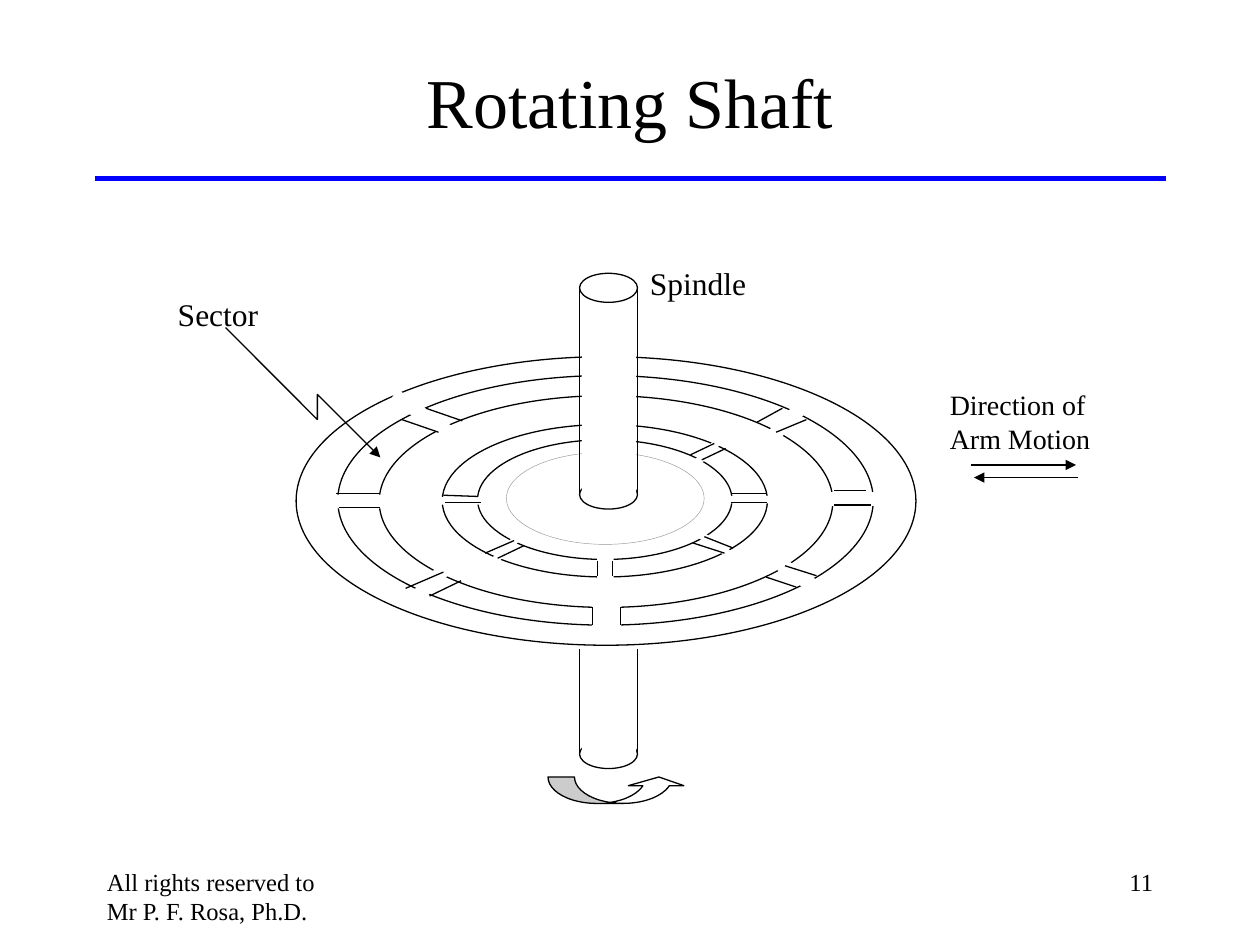
import pptx
import pptx.util
import pptx.dml.color
import pptx.enum.shapes
import pptx.enum.text
import pptx.oxml.ns

Pt = pptx.util.Pt
MSO = pptx.enum.shapes.MSO_SHAPE
ALIGN = pptx.enum.text.PP_ALIGN
ANCHOR = pptx.enum.text.MSO_ANCHOR
FIT = pptx.enum.text.MSO_AUTO_SIZE
colors = {"ink": "000000", "paper": "FFFFFF", "rule": "0000FF", "hub": "969696"}
rgb = {name: pptx.dml.color.RGBColor.from_string(c) for name, c in colors.items()}

prs = pptx.Presentation()
prs.slide_width, prs.slide_height = Pt(720), Pt(540)
s = prs.slides.add_slide(prs.slide_layouts[6])


def add_shape(kind, box, fill=None, line="ink", width=0.75, rotation=0):
    sp = s.shapes.add_shape(kind, *[Pt(v) for v in box])
    sp.shadow.inherit = False
    sp.rotation = rotation
    if fill:
        sp.fill.solid()
        sp.fill.fore_color.rgb = rgb[fill]
    else:
        sp.fill.background()
    if line:
        sp.line.color.rgb = rgb[line]
        sp.line.width = Pt(width)
    else:
        sp.line.fill.background()
    return sp


def add_line(ends, color="ink", width=0.75):
    cx = s.shapes.add_connector(pptx.enum.shapes.MSO_CONNECTOR.STRAIGHT, *[Pt(v) for v in ends])
    cx.line.color.rgb = rgb[color]
    cx.line.width = Pt(width)
    sp_pr = cx._element.spPr
    sp_pr.append(sp_pr.makeelement(pptx.oxml.ns.qn("a:effectLst"), {}))
    return cx


add_line((54, 102.2, 666, 102.2), "rule", 3)

add_shape(MSO.OVAL, (331.2, 422.6, 33.1, 16.6), "paper")
add_line((331.2, 432, 331.2, 370.8))
add_line((364.3, 370.8, 364.3, 431.3))
add_shape(MSO.RECTANGLE, (332.6, 360, 31, 69.8), "paper", None)

tracks = [
    {
        "ovals": [(216.7, 226.1, 259.2, 121), (193, 214.6, 306, 142.6)],
        "gap": (7.9, 50.4),
        "gaps": [(494.3, 285.1, 270), (453.2, 237.6, 45), (460.4, 331.9, 304),
                 (196.2, 286.6, 270), (243.7, 335.5, 45)],
        "front": (338.4, 344.2, 16.6, 23),
        "edges": [(354.4, 347, 354.4, 357.1), (338.4, 347, 338.4, 357.1),
                  (193.7, 290.2, 217.4, 290.2), (231.8, 336.2, 253.4, 326.9),
                  (245.5, 340.6, 263.5, 331.9), (437.8, 329.8, 455, 335.5),
                  (448.6, 323.3, 466.6, 329), (476.6, 288.6, 497.5, 288.6),
                  (476.6, 280.1, 494.6, 280.1), (443.5, 247, 460.8, 239.8),
                  (432.7, 241.2, 447.1, 233.3)],
    },
    {
        "ovals": [(272.9, 251.3, 145.4, 68.4), (252.7, 242.6, 185.8, 87.1)],
        "gap": (4.3, 28.1),
        "gaps": [(427.7, 285.5, 270), (404.6, 258.1, 45), (409, 311.4, 304),
                 (262.1, 286.2, 270), (288.7, 314.3, 45)],
        "front": (341.3, 318.2, 9.4, 13),
        "edges": [(349.9, 320.4, 349.9, 329), (341.3, 320.4, 341.3, 329),
                  (254.2, 287.3, 275, 287.3), (277.2, 316.1, 293.8, 308.9),
                  (284.4, 319, 299.5, 311.8), (396, 310.3, 414, 316.1),
                  (402.5, 306.7, 419, 313.2), (417.6, 287.3, 438.5, 287.3),
                  (417.6, 282.2, 437.8, 282.2), (401, 262.8, 414.7, 256.3),
                  (394.6, 259.9, 408.2, 253.4)],
    },
]
for track in tracks:
    for box in track["ovals"]:
        add_shape(MSO.OVAL, box)
    w, h = track["gap"]
    for x, y, angle in track["gaps"]:
        add_shape(MSO.RECTANGLE, (x - w / 2, y - h / 2, w, h), "paper", None, rotation=angle)
    add_shape(MSO.RECTANGLE, track["front"], "paper", None)
    for ends in track["edges"]:
        add_line(ends)

add_shape(MSO.OVAL, (289.4, 258.5, 113, 52.6), line="hub", width=0.25)
add_shape(MSO.OVAL, (169.2, 203.8, 354.2, 164.9))
add_shape(MSO.RECTANGLE, (241.9, 214.6, 7.9, 50.4), "paper", None, rotation=304)
for ends in [(243.4, 233.3, 264.2, 240.5), (229.7, 239.8, 250.6, 247),
             (192.2, 282.2, 217.4, 282.2), (253.4, 283, 272.9, 283.7)]:
    add_line(ends)

for top in (274.3, 156.2):
    add_shape(MSO.OVAL, (331.2, top, 33.1, 16.6), "paper")
add_line((331.2, 283.7, 331.2, 163.4))
add_line((364.3, 163.4, 364.3, 282.2))
add_shape(MSO.RECTANGLE, (332.6, 174.2, 31, 109.4), "paper", None)

fb = s.shapes.build_freeform(Pt(128.9), Pt(187.2))
fb.add_line_segments([(Pt(x), Pt(y)) for x, y in [(181.4, 239.8), (181.4, 225.4), (217.4, 261.4)]], close=False)
pointer = fb.convert_to_shape()
pointer.shadow.inherit = False
pointer.fill.background()
pointer.line.color.rgb = rgb["ink"]
pointer.line.width = Pt(0.75)

sp = add_shape(MSO.CURVED_UP_ARROW, (313.2, 444, 79.2, 15.1), "paper")
for i, value in enumerate((1.05, 2.1, 0.33)):
    sp.adjustments[i] = value

outward = add_line((555.1, 265.7, 614.9, 265.7))
inward = add_line((616.3, 272.9, 556.6, 272.9))
for sp in (pointer, outward, inward):
    ln = sp.line._get_or_add_ln()
    ln.append(ln.makeelement(pptx.oxml.ns.qn("a:tailEnd"), {"type": "triangle"}))

texts = [
    ((54, 12.2, 612, 90), ["Rotating Shaft"], 40, ALIGN.CENTER, ANCHOR.MIDDLE, True),
    ((54, 491.8, 149.8, 36), ["All rights reserved to Mr P. F. Rosa, Ph.D."], 14, ALIGN.LEFT, ANCHOR.TOP, True),
    ((516.2, 491.8, 149.8, 36), ["11"], 14, ALIGN.RIGHT, ANCHOR.TOP, True),
    ((92.3, 164.9, 64.5, 28.8), ["Sector"], 18, ALIGN.CENTER, ANCHOR.TOP, False),
    ((362.3, 147.4, 73.1, 28.8), ["Spindle"], 18, ALIGN.CENTER, ANCHOR.TOP, False),
    ((535.7, 218.2, 98, 46.1), ["Direction of", "Arm Motion"], 16, ALIGN.LEFT, ANCHOR.TOP, False),
]
for box, lines, size, align, anchor, wrap in texts:
    tf = s.shapes.add_textbox(*[Pt(v) for v in box]).text_frame
    fit = FIT.NONE if wrap else FIT.SHAPE_TO_FIT_TEXT
    for name, value in {"word_wrap": wrap, "vertical_anchor": anchor, "auto_size": fit}.items():
        setattr(tf, name, value)
    for i, line in enumerate(lines):
        p = tf.add_paragraph() if i else tf.paragraphs[0]
        p.alignment = align
        r = p.add_run()
        r.text = line
        for name, value in {"name": "Times New Roman", "size": Pt(size)}.items():
            setattr(r.font, name, value)
        r.font.color.rgb = rgb["ink"]

prs.save("out.pptx")
